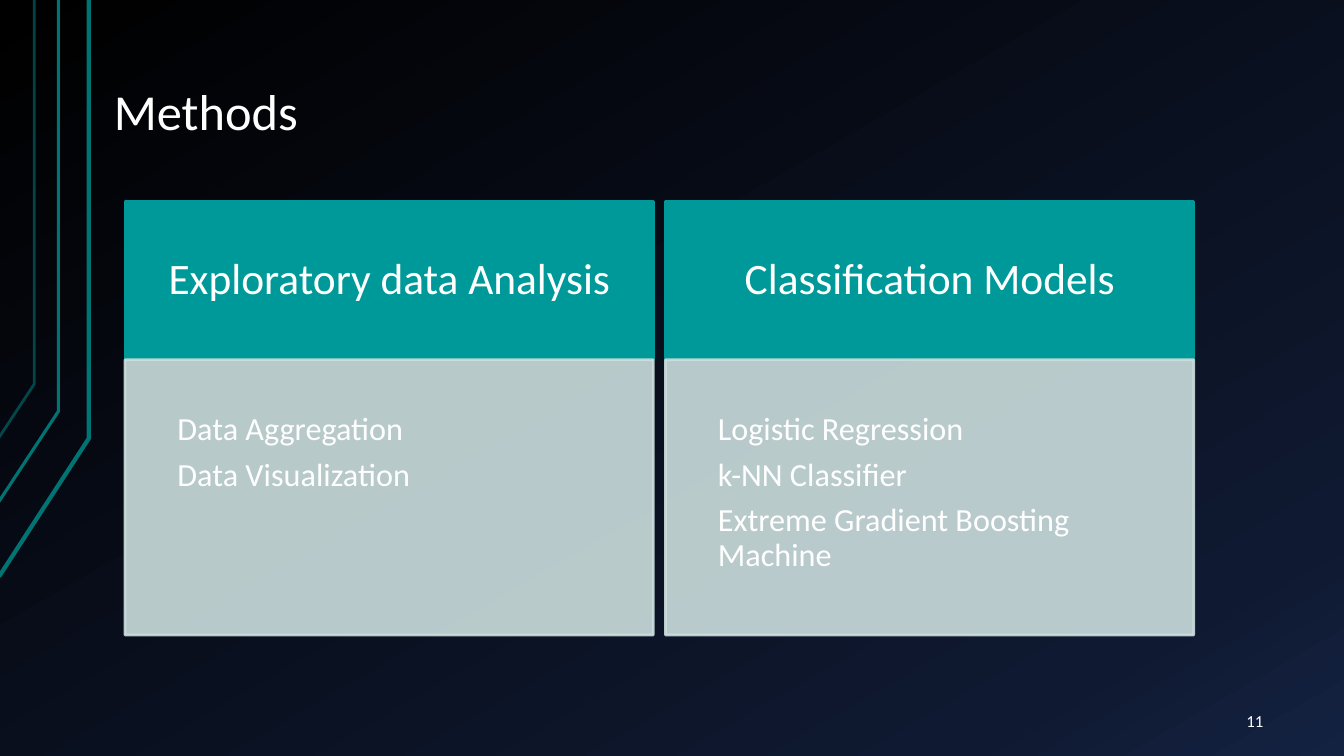
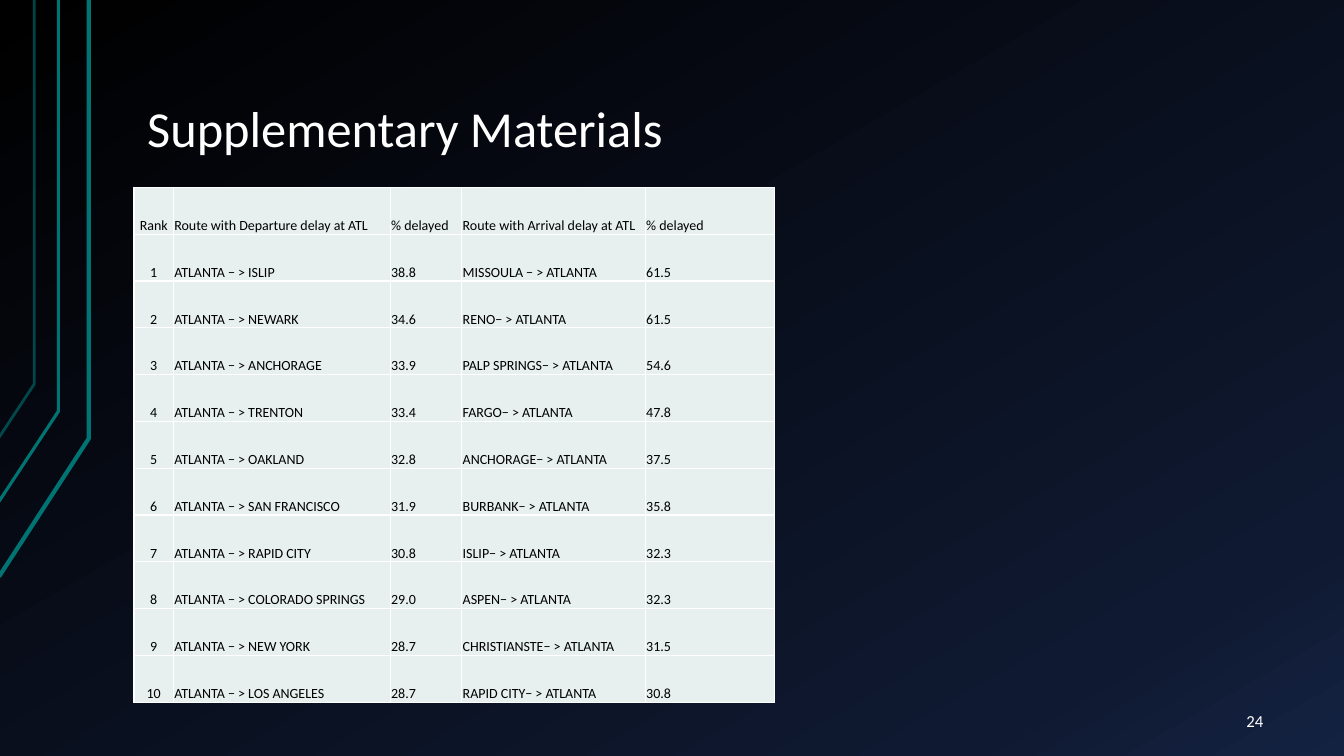
from copy import deepcopy

from lxml.etree import SubElement
from pptx import Presentation
from pptx.dml.color import RGBColor
from pptx.enum.shapes import MSO_SHAPE
from pptx.enum.text import MSO_ANCHOR, PP_ALIGN
from pptx.oxml.ns import qn
from pptx.util import Emu, Inches, Pt

# Content
METHODS = [
    ("Exploratory data Analysis", ["Data Aggregation", "Data Visualization"]),
    ("Classification Models", ["Logistic Regression", "k-NN Classifier",
                               "Extreme Gradient Boosting Machine"]),
]
ROUTE_HEADER = ("Rank", "Route with Departure delay at ATL", "% delayed",
                "Route with Arrival delay at ATL", "% delayed")
# Departure city, % delayed, arrival route, % delayed; the rank is the position
ROUTES = [
    ("ISLIP", "38.8", "MISSOULA − > ATLANTA", "61.5"),
    ("NEWARK", "34.6", "RENO− > ATLANTA", "61.5"),
    ("ANCHORAGE", "33.9", "PALP SPRINGS− > ATLANTA", "54.6"),
    ("TRENTON", "33.4", "FARGO− > ATLANTA", "47.8"),
    ("OAKLAND", "32.8", "ANCHORAGE− > ATLANTA", "37.5"),
    ("SAN FRANCISCO", "31.9", "BURBANK− > ATLANTA", "35.8"),
    ("RAPID CITY", "30.8", "ISLIP− > ATLANTA", "32.3"),
    ("COLORADO SPRINGS", "29.0", "ASPEN− > ATLANTA", "32.3"),
    ("NEW YORK", "28.7", "CHRISTIANSTE− > ATLANTA", "31.5"),
    ("LOS ANGELES", "28.7", "RAPID CITY− > ATLANTA", "30.8"),
]

# Shared style
FONT = "Calibri"
WHITE = RGBColor(0xFF, 0xFF, 0xFF)
BLACK = RGBColor(0x00, 0x00, 0x00)
TEAL = RGBColor(0x00, 0x99, 0x99)
DARK_TEAL = RGBColor(0x00, 0x73, 0x73)
PALE_TEAL = RGBColor(0xCC, 0xDE, 0xDE)
CELL = RGBColor(0xE7, 0xEF, 0xEF)
BACKDROP = [(0, BLACK), (0.85, RGBColor(0x0F, 0x19, 0x31)),
            (1, RGBColor(0x14, 0x22, 0x42))]
# Bent lines at the left edge: points, width in points, opacity in percent
BENT_LINES = [
    ([(-0.01, 5.72), (0.88, 4.35), (0.88, 0)], 3, 100),
    ([(-0.02, 4.99), (0.58, 4.08), (0.58, 0)], 2.25, 100),
    ([(-0.01, 4.34), (0.34, 3.81), (0.34, 0)], 2, 60),
]
TEXT_INSETS = (0.13, 0.07, 0.13, 0.07)


def set_opacity(color_parent, percent):
    for color in color_parent.iter(qn("a:srgbClr")):
        SubElement(color, qn("a:alpha")).set("val", str(percent * 1000))


def write(frame, lines, size, insets, anchor=MSO_ANCHOR.TOP,
          align=PP_ALIGN.LEFT, spacing=0.9, after=0):
    frame.word_wrap = True
    frame.vertical_anchor = anchor
    (frame.margin_left, frame.margin_top,
     frame.margin_right, frame.margin_bottom) = map(Inches, insets)
    frame.text = "\n".join(lines)
    for paragraph in frame.paragraphs:
        paragraph.alignment = align
        paragraph.line_spacing = spacing
        paragraph.space_after = Pt(after)
        paragraph.font.name = FONT
        paragraph.font.size = Pt(size)
        paragraph.font.color.rgb = WHITE


def set_backdrop(master):
    fill = master.background.fill
    fill.gradient()
    fill.gradient_angle = 300
    stops = master.element.xpath(".//p:bg//a:gsLst")[0]
    stops.append(deepcopy(stops[-1]))
    for stop, (position, color) in zip(fill.gradient_stops, BACKDROP):
        stop.position = position
        stop.color.rgb = color


def add_base_slide(prs, title, title_at, number):
    slide = prs.slides.add_slide(prs.slide_layouts[6])
    for points, width, opacity in BENT_LINES:
        start, *rest = [(Inches(x), Inches(y)) for x, y in points]
        builder = slide.shapes.build_freeform(*start)
        builder.add_line_segments(rest, close=False)
        bent = builder.convert_to_shape()
        bent.shadow.inherit = False
        bent.fill.background()
        bent.line.color.rgb = DARK_TEAL
        bent.line.width = Pt(width)
        if opacity < 100:
            set_opacity(bent.element.spPr, opacity)
    heading = slide.shapes.add_textbox(*map(Inches, (*title_at, 11.33, 1.34)))
    write(heading.text_frame, [title], 36, TEXT_INSETS, MSO_ANCHOR.BOTTOM)
    page = slide.shapes.add_textbox(*map(Inches, (11.55, 6.95, 1.11, 0.4)))
    write(page.text_frame, [str(number)], 12, TEXT_INSETS, MSO_ANCHOR.MIDDLE,
          PP_ALIGN.RIGHT, spacing=1)
    return slide


def add_panel(slide, box, color, opacity=100):
    panel = slide.shapes.add_shape(MSO_SHAPE.RECTANGLE, *map(Inches, box))
    panel.shadow.inherit = False
    panel.fill.solid()
    panel.fill.fore_color.rgb = color
    panel.line.color.rgb = color
    panel.line.width = Pt(2)
    if opacity < 100:
        set_opacity(panel.element.spPr, opacity)
    return panel.text_frame


def add_methods(slide):
    left, top, width, gap = 1.24, 2, 5.24, 0.12
    head_height, body_height = 1.57, 2.73
    for column, (method, steps) in enumerate(METHODS):
        x = left + column * (width + gap)
        head = add_panel(slide, (x, top, width, head_height), TEAL)
        write(head, [method], 31, [0.41] * 4, MSO_ANCHOR.MIDDLE, PP_ALIGN.CENTER)
        body = add_panel(slide, (x, top + head_height, width, body_height),
                         PALE_TEAL, 90)
        write(body, steps, 23, [0.52] * 4, after=8)


def add_borders(cell):
    properties = cell._tc.get_or_add_tcPr()
    for side in ("lnL", "lnR", "lnT", "lnB"):
        border = SubElement(properties, qn(f"a:{side}"), w=str(Pt(1)))
        fill = SubElement(border, qn("a:solidFill"))
        SubElement(fill, qn("a:srgbClr"), val=str(WHITE))


def add_routes(slide):
    rows = [ROUTE_HEADER] + [
        (str(rank), f"ATLANTA − > {city}", *rest)
        for rank, (city, *rest) in enumerate(ROUTES, 1)]
    widths = [0.39, 2.15, 0.71, 1.82, 1.28]
    height = Inches(5.11)
    table = slide.shapes.add_table(
        len(rows), len(widths), Inches(1.33), Inches(1.86),
        Inches(sum(widths)), height).table
    table.first_row = table.horz_banding = False
    for column, width in zip(table.columns, widths):
        column.width = Inches(width)
    for r, values in enumerate(rows):
        table.rows[r].height = Emu(height // len(rows))
        for c, value in enumerate(values):
            cell = table.cell(r, c)
            add_borders(cell)
            cell.fill.solid()
            cell.fill.fore_color.rgb = CELL
            cell.vertical_anchor = MSO_ANCHOR.BOTTOM
            cell.margin_left = cell.margin_right = cell.margin_top = Inches(0.01)
            cell.margin_bottom = 0
            cell.text = value
            paragraph = cell.text_frame.paragraphs[0]
            paragraph.alignment = PP_ALIGN.LEFT if c else PP_ALIGN.CENTER
            paragraph.font.name = FONT
            paragraph.font.size = Pt(10)
            paragraph.font.color.rgb = BLACK


def main():
    prs = Presentation()
    prs.slide_width, prs.slide_height = Inches(13.33), Inches(7.5)
    set_backdrop(prs.slide_master)
    add_methods(add_base_slide(prs, "Methods", (1, 0.13), 11))
    add_routes(add_base_slide(prs, "Supplementary Materials", (1.33, 0.3), 24))
    prs.save("out.pptx")


if __name__ == "__main__":
    main()
